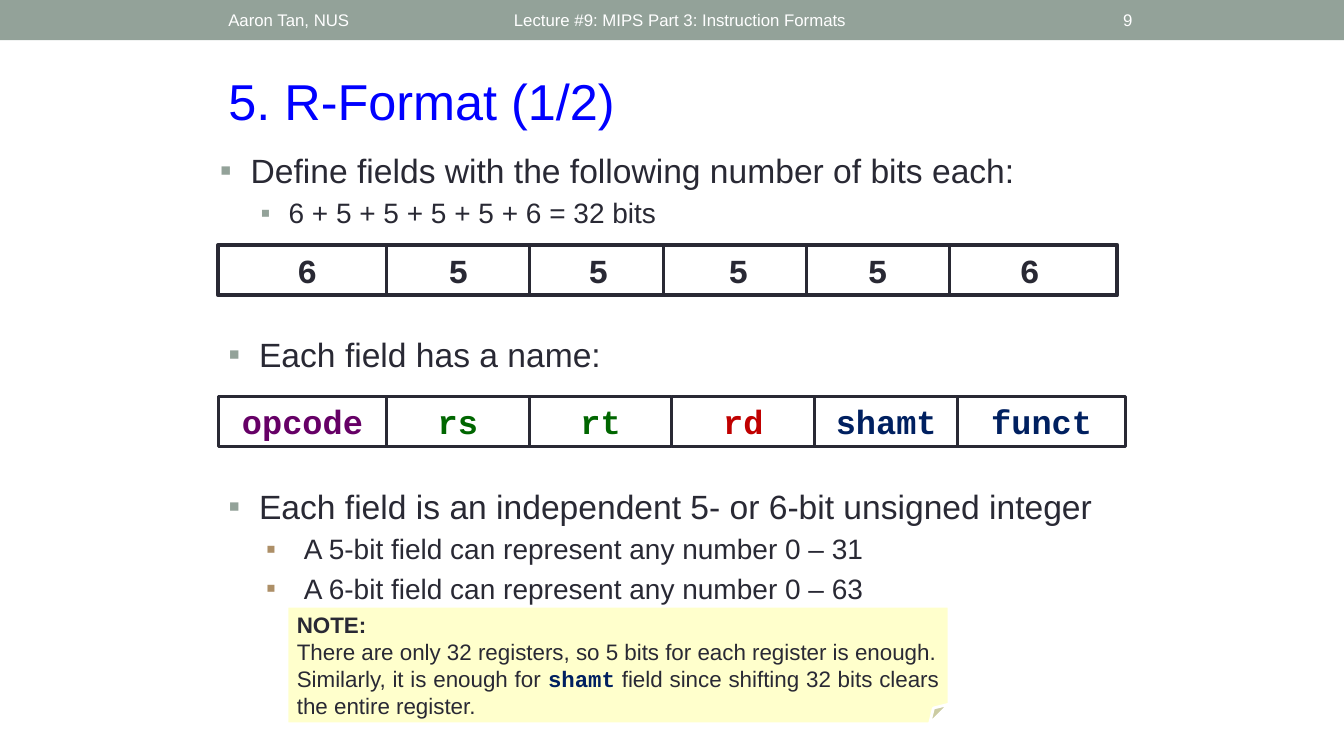
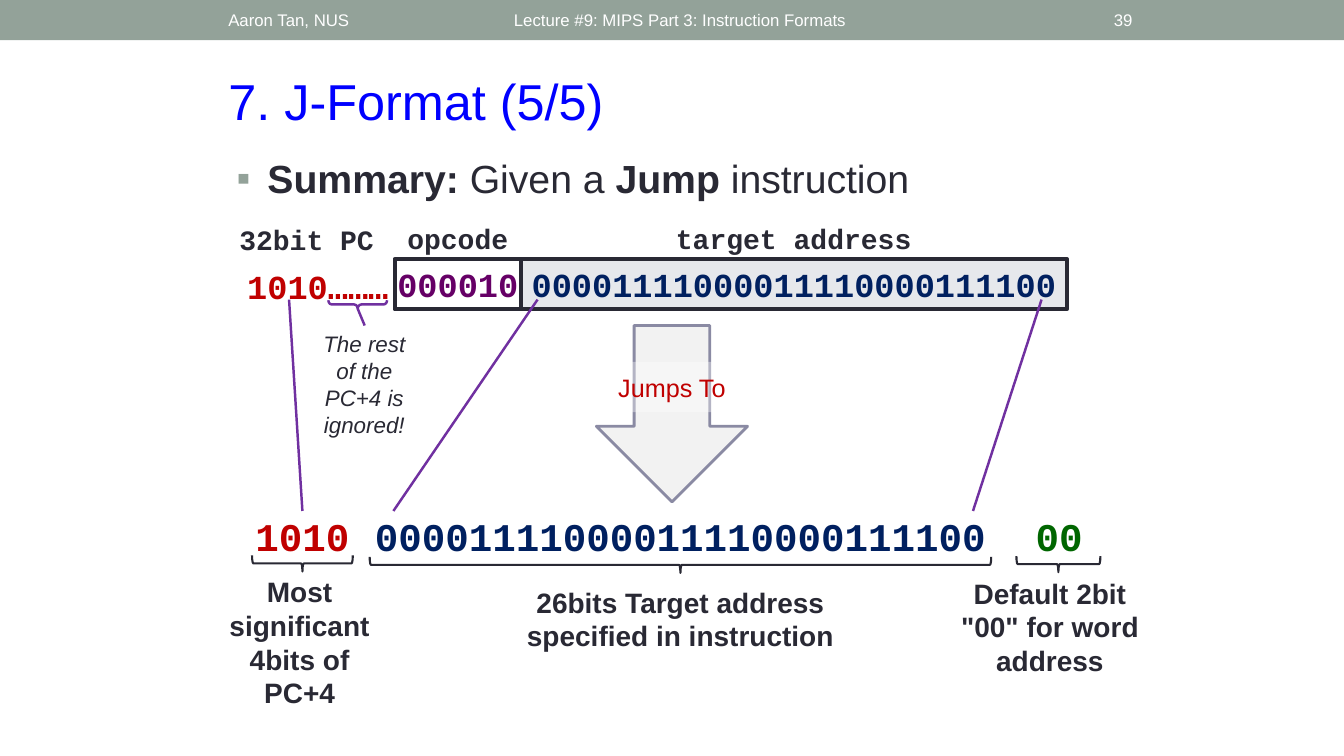
from pptx import Presentation
from pptx.dml.color import RGBColor
from pptx.enum.shapes import MSO_CONNECTOR as Link, MSO_SHAPE as Kind
from pptx.enum.text import MSO_ANCHOR as Anchor, PP_ALIGN as Align
from pptx.oxml.ns import qn
from pptx.util import Pt
from lxml.etree import SubElement

# Shared colours and fonts
rgb = RGBColor.from_string
INK, WHITE, SAGE, TAN = "292934", "FFFFFF", "93A299", "AD8F67"
BLUE, NAVY, RED = "0000FF", "002060", "C00000"
GREEN, PLUM, VIOLET = "006600", "660066", "7030A0"
SANS, MONO = "Arial", "Courier New"


def box(slide, kind, at, text="", size=24, color=INK, font=SANS, bold=False,
        align=Align.CENTER, anchor=Anchor.MIDDLE, wrap=True,
        fill=None, line=None, weight=2):
    """Add a text box (kind None) or a preset shape, with its text."""
    spot = [Pt(n) for n in at]
    if kind is None:
        shape = slide.shapes.add_textbox(*spot)
    else:
        shape = slide.shapes.add_shape(kind, *spot)
        shape.shadow.inherit = False
        if fill:
            shape.fill.solid()
            shape.fill.fore_color.rgb = rgb(fill)
        else:
            shape.fill.background()
        if line:
            shape.line.color.rgb = rgb(line)
            shape.line.width = Pt(weight)
        else:
            shape.line.fill.background()
    frame = shape.text_frame
    frame.word_wrap = wrap
    frame.vertical_anchor = anchor
    frame.text = text
    for para in frame.paragraphs:
        para.alignment = align
        for run in para.runs:
            run.font.name, run.font.size, run.font.bold = font, Pt(size), bold
            run.font.color.rgb = rgb(color)
    return shape


def points(slide, at, items):
    """Add a bulleted list; an item is left, hang, size, bullet colour, runs."""
    frame = box(slide, None, at, anchor=Anchor.TOP).text_frame
    for i, (left, hang, size, dot, runs) in enumerate(items):
        para = frame.add_paragraph() if i else frame.paragraphs[0]
        para.alignment = Align.LEFT
        if i:
            para.space_before = Pt(4)
        props = para._p.get_or_add_pPr()
        props.set("marL", str(Pt(left)))
        props.set("indent", str(-Pt(hang)))
        tint = SubElement(props, qn("a:buClr"))
        SubElement(tint, qn("a:srgbClr"), val=dot)
        SubElement(props, qn("a:buFont"), typeface=SANS)
        SubElement(props, qn("a:buChar"), char="▪")
        for text, bold in runs:
            run = para.add_run()
            run.text = text
            run.font.name, run.font.size, run.font.bold = SANS, Pt(size), bold
            run.font.color.rgb = rgb(INK)


deck = Presentation()
deck.slide_width, deck.slide_height = Pt(960), Pt(540)

# Shared layout: title place and top band
plan = deck.slide_layouts[5]
head = plan.placeholders[0]
head.left, head.top, head.width, head.height = Pt(156), Pt(46.5), Pt(660), Pt(51)
head.text_frame.vertical_anchor = Anchor.TOP

pages = []
for name, number in (("5. R-Format (1/2)", "9"), ("7. J-Format (5/5)", "39")):
    page = deck.slides.add_slide(plan)
    pages.append(page)
    title = page.shapes.title.text_frame
    title.text = name
    title.paragraphs[0].alignment = Align.LEFT
    font = title.paragraphs[0].runs[0].font
    font.name, font.size, font.color.rgb = SANS, Pt(36), rgb(BLUE)
    for left, width, text, align in (
            (360, 432, "Lecture #9: MIPS Part 3: Instruction Formats", Align.LEFT),
            (156, 228, "Aaron Tan, NUS", Align.LEFT),
            (748, 68, number, Align.RIGHT)):
        box(page, None, (left, 1, width, 26), text, 12, WHITE, align=align)
first, last = pages
band = box(first, Kind.RECTANGLE, (0, 0, 960, 28.8), fill=SAGE)
plan.shapes.element.insert(2, band.element)
lines = []

# R-format: bullets
points(first, (150, 103.5, 660, 72), [
    (22, 22, 24, SAGE, [("Define fields with the following number of bits each:", False)]),
    (49, 20, 20, SAGE, [("6 + 5 + 5 + 5 + 5 + 6 = 32 bits", False)])])
points(first, (156, 235, 660, 42), [
    (22, 22, 24, SAGE, [("Each field has a name:", False)])])
points(first, (156, 343.5, 648, 132), [
    (22, 22, 24, SAGE,
     [("Each field is an independent 5- or 6-bit unsigned integer", False)]),
    (54, 27, 20, TAN, [("A 5-bit field can represent any number 0 – 31", False)]),
    (54, 27, 20, TAN, [("A 6-bit field can represent any number 0 – 63", False)])])

# R-format: field sizes
box(first, Kind.RECTANGLE, (156, 175, 642, 36), line=INK, weight=3)
for bits, mid in zip("655556", (219.5, 327.5, 427.5, 527.5, 627, 735.5)):
    box(first, None, (mid - 14.5, 175, 29, 37), bits, font=MONO, bold=True,
        anchor=Anchor.TOP, wrap=False)
for x in (276, 378, 474, 576, 678):
    lines.append((first, INK, 2.25, (x, 175, x, 211)))

# R-format: field names
left = 156
for name, width, color in (
        ("opcode", 120, PLUM), ("rs", 102, GREEN), ("rt", 102, GREEN),
        ("rd", 102, RED), ("shamt", 102, NAVY), ("funct", 120, NAVY)):
    box(first, Kind.RECTANGLE, (left, 283, width, 36), name, color=color,
        font=MONO, bold=True, fill=WHITE, line=INK)
    left += width

# R-format: note
note = box(first, Kind.FOLDED_CORNER, (205, 433, 473, 84),
           "NOTE:\nThere are only 32 registers, so 5 bits for each register is enough."
           "\nSimilarly, it is enough for ", 16, align=Align.JUSTIFY,
           anchor=Anchor.TOP, fill="FFFFCC", line=WHITE)
paras = note.text_frame.paragraphs
paras[0].alignment = Align.LEFT
paras[0].runs[0].font.bold = True
for text, font, color, bold in (
        ("shamt", MONO, NAVY, True),
        (" field since shifting 32 bits clears the entire register.", SANS, INK, False)):
    run = paras[2].add_run()
    run.text = text
    run.font.name, run.font.size, run.font.bold = font, Pt(16), bold
    run.font.color.rgb = rgb(color)

# J-format: summary
points(last, (162, 106.5, 654, 48), [
    (22, 22, 28, SAGE, [("Summary: ", True), ("Given a ", False),
                        ("Jump", True), (" instruction", False)])])

# J-format: instruction row
target = "00001111000011110000111100"
for left, top, width, text in (
        (156, 155.5, 126, "32bit PC"), (282, 155, 90, "opcode"),
        (372, 155, 390, "target address")):
    box(last, None, (left, top, width, 31), text, 20, font=MONO, bold=True,
        anchor=Anchor.TOP)
for kind, left, top, width, text, color, fill, line in (
        (Kind.RECTANGLE, 282, 185, 90, "000010", PLUM, None, INK),
        (Kind.RECTANGLE, 372, 185, 390, target, NAVY, "E6E8EC", INK),
        (None, 157, 186, 140, "1010………", RED, None, None)):
    box(last, kind, (left, top, width, 36), text, color=color, font=MONO,
        bold=True, wrap=False, fill=fill, line=line, weight=3)

# J-format: jump arrow
box(last, Kind.DOWN_ARROW, (426, 232.5, 108, 126), fill="F2F2F2", line="8A8AA3")
veil = box(last, Kind.RECTANGLE, (408, 258.5, 144, 36), "Jumps To", 18, RED, fill=WHITE)
tint = veil.element.spPr.find(".//" + qn("a:srgbClr"))
SubElement(tint, qn("a:alpha"), val="36000")

# J-format: resulting address
for left, width, text, color in (
        (162, 108, "1010", RED), (256, 460, target, NAVY), (726.5, 60, "00", GREEN)):
    box(last, None, (left, 365, width, 36), text, 28, color, MONO, True, wrap=False)
for left, top, width, height, text in (
        (151, 407, 126, 104, "Most significant 4bits of PC+4"),
        (348, 414.5, 276, 55, "26bits Target address specified in instruction"),
        (678, 408, 144, 80, 'Default 2bit "00" for word address')):
    box(last, None, (left, top, width, height), text, 20, bold=True, anchor=Anchor.TOP)
rest = box(last, None, (221, 232.5, 78.5, 85), "The rest of the PC+4 is ignored!",
           16, anchor=Anchor.TOP)
rest.text_frame.paragraphs[0].runs[0].font.italic = True

# J-format: braces, turned to point down
for mid, y, span, depth, bend, color, weight in (
        (216, 402.5, 72, 11.5, 0.08, INK, 1.5),
        (486, 403.5, 444, 11.5, 0.08, INK, 1.5),
        (756, 403, 60, 11.5, 0.08, INK, 1.5),
        (255.5, 217.5, 42, 6, 0.42, VIOLET, 1.75)):
    brace = box(last, Kind.RIGHT_BRACE, (mid - depth / 2, y - span / 2, depth, span),
                line=color, weight=weight)
    brace.adjustments[0] = bend
    brace.rotation = 90
for ends in ((384, 214, 281, 365), (744, 214, 695, 365),
             (206.5, 214, 216, 365), (255.5, 220.5, 260.5, 232.5)):
    lines.append((last, VIOLET, 1.75, ends))

# Straight lines on both slides
for page, color, weight, ends in lines:
    line = page.shapes.add_connector(Link.STRAIGHT, *[Pt(n) for n in ends])
    line.line.color.rgb = rgb(color)
    line.line.width = Pt(weight)
    SubElement(line.element.spPr, qn("a:effectLst"))

deck.save("out.pptx")
